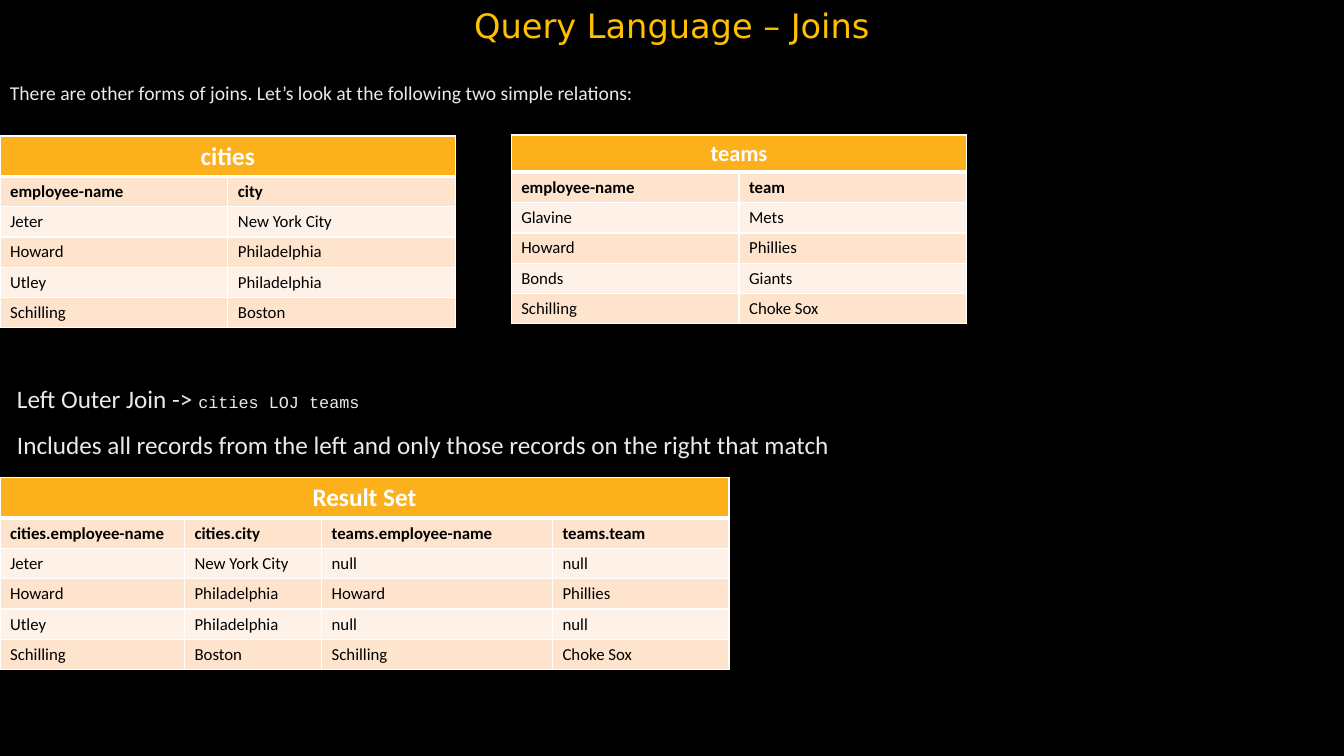
from pptx import Presentation
from pptx.dml.color import RGBColor
from pptx.enum.text import MSO_ANCHOR, MSO_AUTO_SIZE, PP_ALIGN
from pptx.oxml.ns import qn
from pptx.util import Inches, Pt
from lxml import etree

CENTER, LEFT = PP_ALIGN.CENTER, PP_ALIGN.LEFT
BOTTOM, NO_FIT = MSO_ANCHOR.BOTTOM, MSO_AUTO_SIZE.NONE
WHITE, BLACK, PALE = "FFFFFF", "000000", "EAEAEA"
GOLD, ORANGE = "FFC000", "FCB11C"
BANDS = ["FEE4CD", "FEF2E8"]


def add_run(p, text, size, color, font="Calibri", bold=False):
    r = p.add_run()
    r.text = text
    r.font.color.rgb = RGBColor.from_string(color)
    for name, value in {"size": Pt(size), "name": font, "bold": bold}.items():
        setattr(r.font, name, value)


def add_border(cell, side, points):
    ln = etree.SubElement(cell._tc.get_or_add_tcPr(), qn("a:" + side), w=str(Pt(points)))
    fill = etree.SubElement(ln, qn("a:solidFill"))
    etree.SubElement(fill, qn("a:srgbClr"), val=WHITE)


prs = Presentation()
prs.slide_width, prs.slide_height = Inches(13.33), Inches(7.5)
s = prs.slides.add_slide(prs.slide_layouts[5])
s.background.fill.solid()
s.background.fill.fore_color.rgb = RGBColor.from_string(BLACK)

# Title
title = s.shapes.title
for name, value in {"left": 0, "top": 0, "width": 13.33, "height": 0.5}.items():
    setattr(title, name, Inches(value))
tf = title.text_frame
tf.auto_size, tf.vertical_anchor = NO_FIT, BOTTOM
p = tf.paragraphs[0]
p.alignment = CENTER
add_run(p, "Query Language – Joins", 24, GOLD, "DejaVu Sans")

# Text boxes: place, then paragraphs of (text, size, font) runs
texts = [
    ((0, 0.75, 13.33, 0.35), [
        [("There are other forms of joins. Let’s look at the following two simple relations:",
          14, "Calibri")]]),
    ((0.07, 3.75, 8.92, 0.86), [
        [("Left Outer Join -> ", 18, "Calibri"), ("cities LOJ teams", 12, "Courier New")],
        [("Includes all records from the left and only those records on the right that match",
          18, "Calibri")]]),
]
for place, paragraphs in texts:
    tf = s.shapes.add_textbox(*map(Inches, place)).text_frame
    tf.word_wrap = True
    for i, runs in enumerate(paragraphs):
        p = tf.add_paragraph() if i else tf.paragraphs[0]
        if i:
            p.space_before = Pt(11.2)
        for text, size, font in runs:
            add_run(p, text, size, PALE, font)

# Tables: left, top, heading, heading size, heading row height, column widths, rows
tables = [
    (0, 4.74, "Result Set", 18, 0.4, [1.83, 1.36, 2.29, 1.75], [
        ["cities.employee-name", "cities.city", "teams.employee-name", "teams.team"],
        ["Jeter", "New York City", "null", "null"],
        ["Howard", "Philadelphia", "Howard", "Phillies"],
        ["Utley", "Philadelphia", "null", "null"],
        ["Schilling", "Boston", "Schilling", "Choke Sox"]]),
    (0, 1.35, "cities", 18, 0.4, [2.26, 2.26], [
        ["employee-name", "city"],
        ["Jeter", "New York City"],
        ["Howard", "Philadelphia"],
        ["Utley", "Philadelphia"],
        ["Schilling", "Boston"]]),
    (5.07, 1.34, "teams", 16, 0.37, [2.26, 2.26], [
        ["employee-name", "team"],
        ["Glavine", "Mets"],
        ["Howard", "Phillies"],
        ["Bonds", "Giants"],
        ["Schilling", "Choke Sox"]]),
]
for left, top, heading, heading_size, heading_height, widths, body in tables:
    rows = [[heading] + [""] * (len(widths) - 1)] + body
    heights = [heading_height] + [0.3] * len(body)
    place = map(Inches, (left, top, sum(widths), sum(heights)))
    table = s.shapes.add_table(len(rows), len(widths), *place).table
    table.first_row = table.horz_banding = False
    for column, width in zip(table.columns, widths):
        column.width = Inches(width)
    for row, height in zip(table.rows, heights):
        row.height = Inches(height)
    table.cell(0, 0).merge(table.cell(0, len(widths) - 1))

    for i, values in enumerate(rows):
        for j, value in enumerate(values):
            cell = table.cell(i, j)
            # A thick rule parts the heading from the body
            borders = {"lnL": 1, "lnR": 1, "lnT": 3 if i == 1 else 1, "lnB": 1 if i else 3}
            for side, points in borders.items():
                add_border(cell, side, points)
            cell.fill.solid()
            cell.fill.fore_color.rgb = RGBColor.from_string(BANDS[(i - 1) % 2] if i else ORANGE)
            if value:
                p = cell.text_frame.paragraphs[0]
                p.alignment = LEFT if i else CENTER
                add_run(p, value, 12 if i else heading_size, BLACK if i else WHITE, bold=i < 2)

prs.save("out.pptx")
